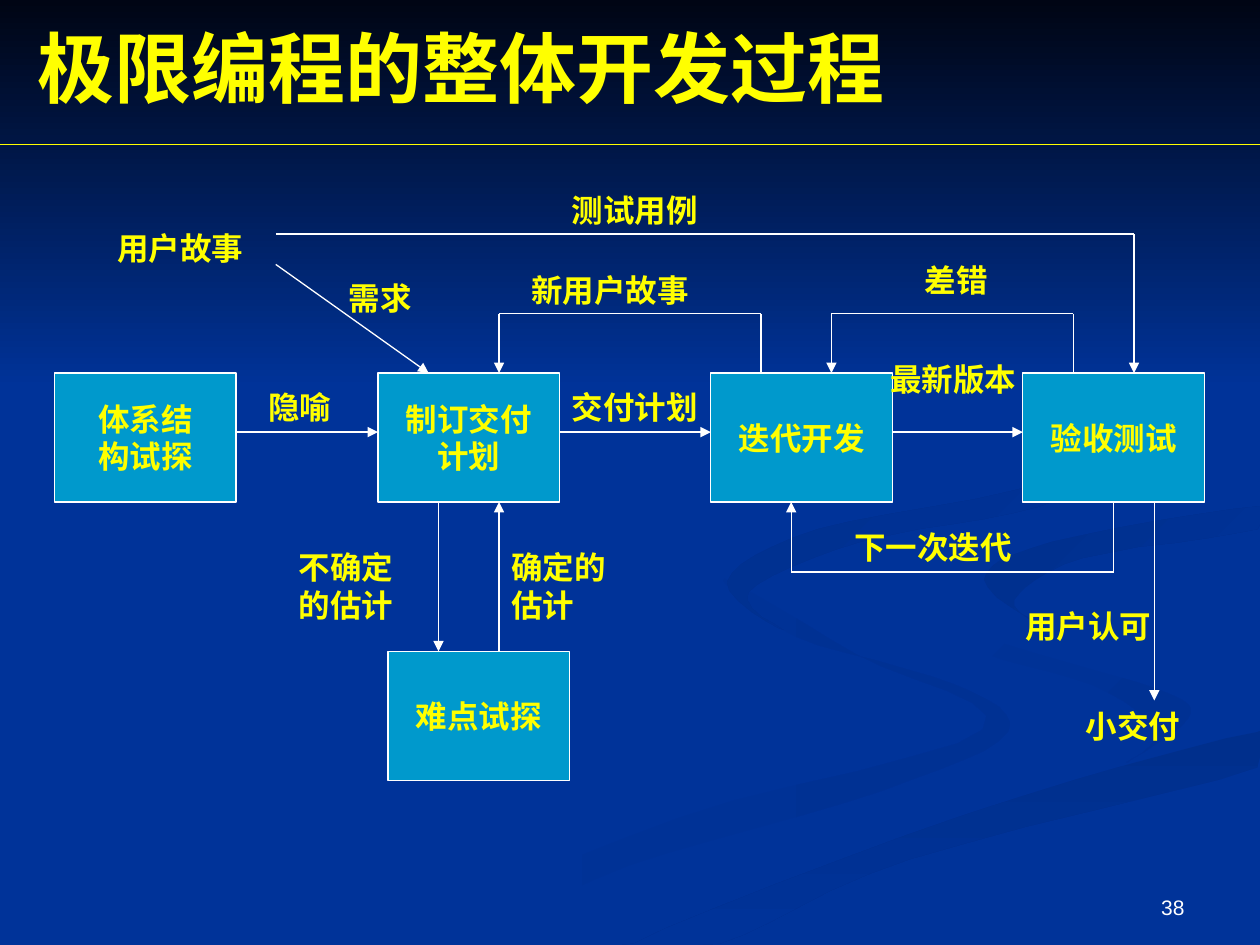
from itertools import pairwise

from lxml import etree
from pptx import Presentation
from pptx import util as u
from pptx.dml.color import RGBColor
from pptx.enum import shapes, text
from pptx.oxml import ns

Cm = u.Cm
COLORS = {
    "blue": "003399", "navy": "000514", "shade": "003193", "deep": "002F8C",
    "box": "0099CC", "yellow": "FFFF00", "white": "FFFFFF",
}
WIDTH, HEIGHT = 25.4, 19.05
BOX_W, BOX_H = 3.66, 2.6
ROW_TOP, ROW_ARROW = 7.52, 8.71
ROW_BOTTOM = ROW_TOP + BOX_H
SPIKE_TOP = 13.13
LOOP_TOP, LOOP_BOTTOM, TEST_LINE = 6.32, 11.53, 4.72
# Left edges of the four boxes in the main row
ARCH, PLAN, ITERATE, ACCEPT = 1.1, 7.62, 14.33, 20.62

# Background ribbons: outline in thousandths of the slide width, colours, angle
RIBBONS = [
    ([(575, 459), (631, 505), (757, 543), (800, 581), (699, 628), (499, 687),
      (361, 749), (300, 749), (539, 649), (780, 579), (679, 519)], "blue", "shade", 0),
    ([(724, 464), (774, 503), (919, 547), (943, 570), (894, 605), (918, 581),
      (868, 544), (766, 512)], "blue", "shade", 45),
    ([(503, 749), (571, 749), (722, 682), (998, 609), (998, 581), (765, 647)],
     "deep", "blue", 90),
    ([(781, 460), (826, 496), (805, 476), (859, 443), (998, 420), (998, 402),
      (835, 430)], "deep", "blue", 45),
    ([(762, 233), (880, 307), (889, 362), (825, 402), (683, 430), (594, 470),
      (622, 500), (577, 462), (649, 420), (830, 382), (885, 330)], "deep", "blue", 45),
]


def rgb(name):
    return RGBColor.from_string(COLORS[name])


def smooth_outline(points, steps=6):
    """Closed Catmull-Rom curve through the points, kept on the slide."""
    curve = []
    for i, b in enumerate(points):
        a, c, d = (points[(i + k) % len(points)] for k in (-1, 1, 2))
        for t in (n / steps for n in range(steps)):
            x, y = (
                (2 * q + (r - p) * t + (2 * p - 5 * q + 4 * r - v) * t**2
                 + (3 * q - p - 3 * r + v) * t**3) / 2
                for p, q, r, v in zip(a, b, c, d)
            )
            curve.append((min(round(x), 1000), min(round(y), 750)))
    return curve


def fill_gradient(sp, start, end, angle):
    sp.shadow.inherit = False
    sp.line.fill.background()
    sp.fill.gradient()
    sp.fill.gradient_angle = (360 - angle) % 360
    for stop, name, position in zip(sp.fill.gradient_stops, (start, end), (0, 1)):
        stop.color.rgb = rgb(name)
        stop.position = position


def add_ribbon(s, points, *gradient):
    curve = smooth_outline(points)
    builder = s.shapes.build_freeform(*curve[0], scale=Cm(WIDTH) / 1000)
    builder.add_line_segments(curve[1:], close=True)
    fill_gradient(builder.convert_to_shape(), *gradient)


def style_text(tf, size, color="yellow", font="Times New Roman", bold=True, align=None):
    for p in tf.paragraphs:
        p.alignment = align
        for r in p.runs:
            r.font.size, r.font.name, r.font.bold = u.Pt(size), font, bold
            r.font.color.rgb = rgb(color)


def add_text(s, content, x, y, w, h=1.02, size=18, anchor=text.MSO_ANCHOR.TOP, **style):
    tf = s.shapes.add_textbox(Cm(x), Cm(y), Cm(w), Cm(h)).text_frame
    tf.word_wrap = True
    tf.vertical_anchor = anchor
    tf.text = content
    style_text(tf, size, **style)


def add_box(s, content, x, y=ROW_TOP):
    sp = s.shapes.add_shape(shapes.MSO_SHAPE.RECTANGLE, Cm(x), Cm(y), Cm(BOX_W), Cm(BOX_H))
    sp.shadow.inherit = False
    sp.fill.solid()
    sp.fill.fore_color.rgb = rgb("box")
    sp.line.color.rgb = rgb("white")
    sp.line.width = u.Pt(0.75)
    tf = sp.text_frame
    tf.word_wrap = False
    tf.vertical_anchor = text.MSO_ANCHOR.MIDDLE
    tf.text = content
    style_text(tf, 18, align=text.PP_ALIGN.CENTER)


def add_line(s, start, end, color="white", arrow=False):
    c = s.shapes.add_connector(shapes.MSO_CONNECTOR.STRAIGHT, *map(Cm, start + end))
    c.line.color.rgb = rgb(color)
    c.line.width = u.Pt(0.75)
    if arrow:
        etree.SubElement(c.line._get_or_add_ln(), ns.qn("a:tailEnd"), type="triangle")
    etree.SubElement(c._element.spPr, ns.qn("a:effectLst"))


def add_route(s, *points):
    """Join the points with straight lines and put an arrowhead on the last."""
    for start, end in pairwise(points):
        add_line(s, start, end, arrow=end == points[-1])


def main():
    prs = Presentation()
    prs.slide_width, prs.slide_height = Cm(WIDTH), Cm(HEIGHT)
    s = prs.slides.add_slide(prs.slide_layouts[6])

    # Background
    s.background.fill.solid()
    s.background.fill.fore_color.rgb = rgb("blue")
    for ribbon in RIBBONS:
        add_ribbon(s, *ribbon)
    band = s.shapes.add_shape(shapes.MSO_SHAPE.RECTANGLE, 0, 0, Cm(WIDTH), Cm(7.82))
    fill_gradient(band, "navy", "blue", 90)

    # Page number, title and rule
    add_text(s, "38", 18.21, 17.35, 5.92, 1.32, 12, text.MSO_ANCHOR.BOTTOM, color="white",
             font="Arial", bold=False, align=text.PP_ALIGN.RIGHT)
    add_text(s, "极限编程的整体开发过程", 0.51, 0.36, 24.21, 1.96, 44, text.MSO_ANCHOR.MIDDLE)
    add_line(s, (0, 2.92), (WIDTH, 2.92), "yellow")

    # Process steps
    add_box(s, "体系结\n构试探", ARCH)
    add_box(s, "制订交付\n计划", PLAN)
    add_box(s, "迭代开发", ITERATE)
    add_box(s, "验收测试", ACCEPT)
    add_box(s, "难点试探", 7.82, SPIKE_TOP)

    # Arrows along the main row
    for left, right in pairwise((ARCH, PLAN, ITERATE, ACCEPT)):
        add_route(s, (left + BOX_W, ROW_ARROW), (right, ROW_ARROW))

    # Spike exchange, user stories and delivery
    add_route(s, (8.84, ROW_BOTTOM), (8.84, SPIKE_TOP))
    add_route(s, (10.06, SPIKE_TOP), (10.06, ROW_BOTTOM))
    add_route(s, (5.56, 5.33), (8.64, ROW_TOP))
    add_route(s, (5.56, TEST_LINE), (22.86, TEST_LINE), (22.86, ROW_TOP))
    add_route(s, (23.27, ROW_BOTTOM), (23.27, 14.12))

    # Feedback loops: from x, to x, box edge, far side
    for x1, x2, edge, far in (
        (15.34, 10.06, ROW_TOP, LOOP_TOP),
        (21.64, 16.76, ROW_TOP, LOOP_TOP),
        (22.45, 15.95, ROW_BOTTOM, LOOP_BOTTOM),
    ):
        add_route(s, (x1, edge), (x1, far), (x2, far), (x2, edge))

    # Labels: text, left, top, width and, for two lines, height
    for label in (
        ("不确定的估计", 5.77, 10.92, 2.84, 1.78),
        ("确定的估计", 10.06, 10.92, 2.84, 1.78),
        ("隐喻", 5.16, 7.7, 2.03),
        ("交付计划", 11.28, 7.7, 3.45),
        ("最新版本", 17.7, 7.14, 3.12),
        ("需求", 6.78, 5.51, 2.03),
        ("新用户故事", 10.46, 5.33, 4.67),
        ("差错", 18.39, 5.13, 3.25),
        ("下一次迭代", 16.97, 10.52, 4.67),
        ("用户认可", 20.42, 12.12, 3.66),
        ("小交付", 21.64, 14.12, 3.25),
        ("测试用例", 11.28, 3.73, 4.88),
        ("用户故事", 2.11, 4.5, 3.45),
    ):
        add_text(s, *label)

    prs.save("out.pptx")


if __name__ == "__main__":
    main()
